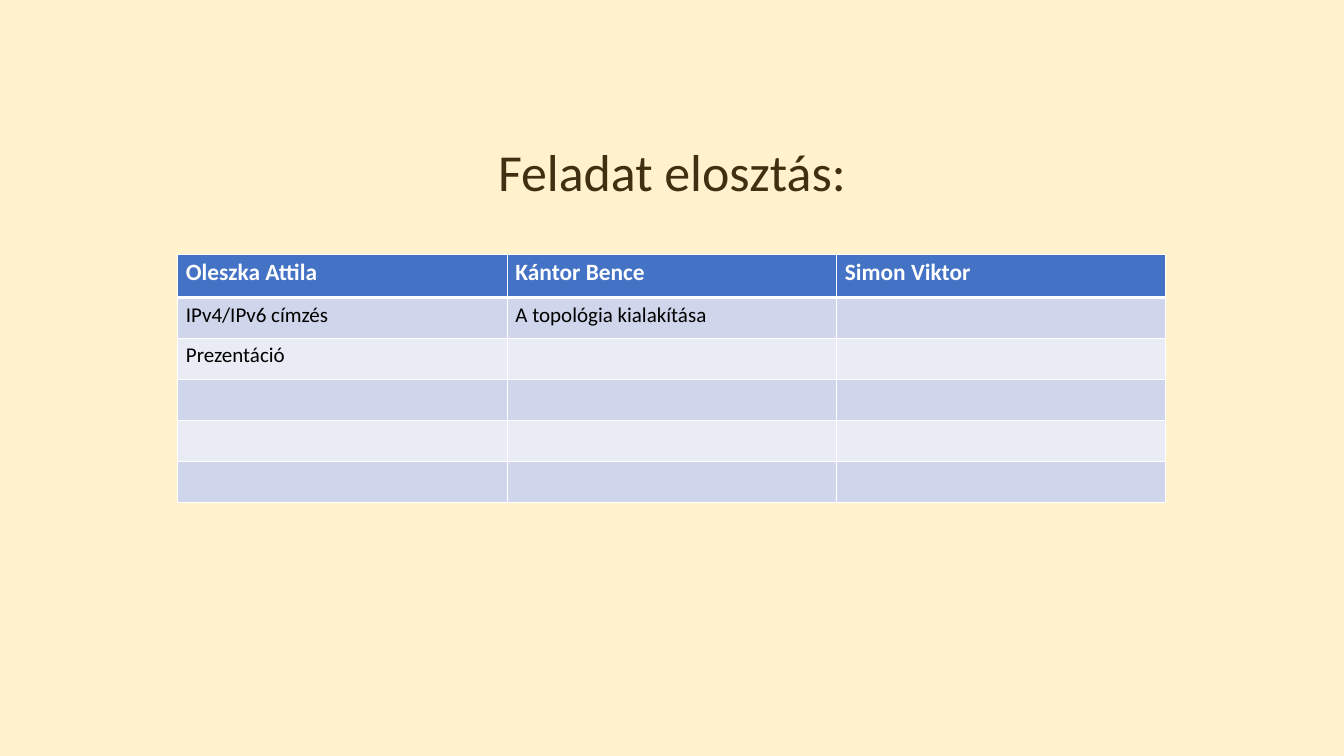
from dataclasses import dataclass

from lxml.etree import SubElement
from pptx import Presentation
from pptx.dml.color import RGBColor as RGB
from pptx.enum.text import MSO_ANCHOR as Anchor, MSO_AUTO_SIZE as AutoSize, PP_ALIGN as Align
from pptx.oxml.ns import qn
from pptx.slide import Slide
from pptx.table import _Cell as Cell
from pptx.text.text import TextFrame
from pptx.util import Pt


@dataclass(frozen=True)
class Theme:
    font: str = "Calibri"
    background: str = "FFF2CC"
    title: str = "403011"
    header: str = "4472C4"
    header_text: str = "FFFFFF"
    body_text: str = "000000"
    bands: tuple[str, str] = ("CFD5EA", "E9EBF5")
    border: str = "FFFFFF"
    title_size: float = 44.5
    header_size: float = 20
    body_size: float = 18


@dataclass(frozen=True)
class Assignment:
    person: str
    tasks: tuple[str, ...] = ()


THEME = Theme()
TASK_ROWS = 5
HEADER_HEIGHT, TASK_HEIGHT = 37.3, 35.04
COLUMN_WIDTH = 282.4
THIN, THICK = 1, 3
ASSIGNMENTS = (
    Assignment("Oleszka Attila", ("IPv4/IPv6 címzés", "Prezentáció")),
    Assignment("Kántor Bence", ("A topológia kialakítása",)),
    Assignment("Simon Viktor"),
)


def write(tf: TextFrame, text: str, *, size: float, color: str, bold: bool = False,
          align: Align = Align.LEFT, line_spacing: float | None = None) -> None:
    p = tf.paragraphs[0]
    p.alignment = align
    if line_spacing:
        p.line_spacing = Pt(line_spacing)
    r = p.add_run()
    r.text = text
    r.font.name = THEME.font
    r.font.size = Pt(size)
    r.font.bold = bold
    r.font.color.rgb = RGB.from_string(color)


def style_cell(cell: Cell, fill: str, top: float, bottom: float) -> None:
    props = cell._tc.get_or_add_tcPr()
    for side, width in (("L", THIN), ("R", THIN), ("T", top), ("B", bottom)):
        line = SubElement(props, qn(f"a:ln{side}"), w=str(Pt(width)))
        solid = SubElement(line, qn("a:solidFill"))
        SubElement(solid, qn("a:srgbClr"), val=THEME.border)
    cell.fill.solid()
    cell.fill.fore_color.rgb = RGB.from_string(fill)


def add_title(s: Slide, text: str) -> None:
    sp = s.shapes.title
    sp.left, sp.top, sp.width, sp.height = Pt(270.7), Pt(117.4), Pt(610.6), Pt(56.2)
    tf = sp.text_frame
    tf.margin_left = tf.margin_top = tf.margin_right = tf.margin_bottom = 0
    tf.word_wrap = False
    tf.auto_size = AutoSize.NONE
    tf.vertical_anchor = Anchor.TOP
    write(tf, text, size=THEME.title_size, color=THEME.title,
          align=Align.CENTER, line_spacing=55.5)


def add_assignments(s: Slide, assignments: tuple[Assignment, ...]) -> None:
    columns = len(assignments)
    table = s.shapes.add_table(
        TASK_ROWS + 1, columns, Pt(152.2), Pt(218), Pt(COLUMN_WIDTH * columns),
        Pt(HEADER_HEIGHT + TASK_HEIGHT * TASK_ROWS)).table
    for i, row in enumerate(table.rows):
        row.height = Pt(TASK_HEIGHT if i else HEADER_HEIGHT)
    for j, assignment in enumerate(assignments):
        table.columns[j].width = Pt(COLUMN_WIDTH)
        header = table.cell(0, j)
        style_cell(header, THEME.header, THIN, THICK)
        write(header.text_frame, assignment.person, size=THEME.header_size,
              color=THEME.header_text, bold=True)
        for i in range(TASK_ROWS):
            style_cell(table.cell(i + 1, j), THEME.bands[i % 2],
                       THIN if i else THICK, THIN)
        for i, task in enumerate(assignment.tasks, 1):
            write(table.cell(i, j).text_frame, task, size=THEME.body_size,
                  color=THEME.body_text)


def main() -> None:
    prs = Presentation()
    prs.slide_width, prs.slide_height = Pt(1152), Pt(648)
    s = prs.slides.add_slide(prs.slide_layouts[5])
    s.background.fill.solid()
    s.background.fill.fore_color.rgb = RGB.from_string(THEME.background)
    add_title(s, "Feladat elosztás:")
    add_assignments(s, ASSIGNMENTS)
    prs.save("out.pptx")


if __name__ == "__main__":
    main()
